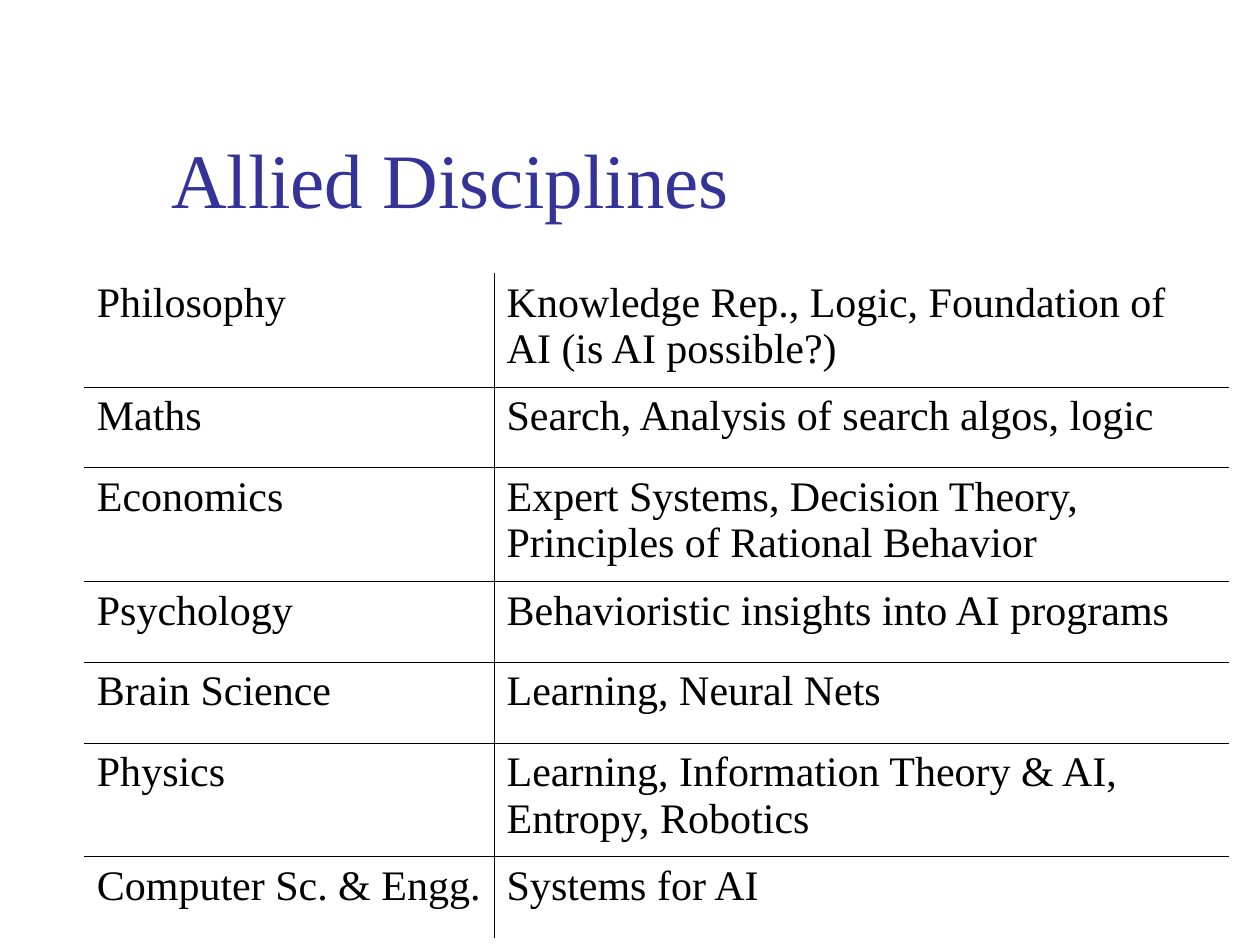
from typing import NamedTuple

from lxml.etree import SubElement
from pptx import Presentation
from pptx.dml.color import RGBColor
from pptx.enum.text import MSO_ANCHOR as Anchor
from pptx.oxml.ns import qn
from pptx.util import Cm, Pt

FONT = "Times New Roman"
BLACK = "000000"
TITLE_BLUE = "333399"
BORDER_WIDTH = Pt(0.45)
COLUMN_WIDTHS = (Cm(8.26), Cm(14.81))
SHORT_ROW, TALL_ROW = Cm(1.63), Cm(2.29)


class Discipline(NamedTuple):
    name: str
    topics: str
    height: int = SHORT_ROW


DISCIPLINES = [
    Discipline("Philosophy", "Knowledge Rep., Logic, Foundation of AI (is AI possible?)", TALL_ROW),
    Discipline("Maths", "Search, Analysis of search algos, logic"),
    Discipline("Economics", "Expert Systems, Decision Theory, Principles of Rational Behavior", TALL_ROW),
    Discipline("Psychology", "Behavioristic insights into AI programs"),
    Discipline("Brain Science", "Learning, Neural Nets"),
    Discipline("Physics", "Learning, Information Theory & AI, Entropy, Robotics", TALL_ROW),
    Discipline("Computer Sc. & Engg.", "Systems for AI"),
]


def color(value: str) -> RGBColor:
    return RGBColor.from_string(value)


def write(text_frame, text: str, size: int, text_color: str) -> None:
    paragraph = text_frame.paragraphs[0]
    paragraph.text = text
    paragraph.font.name = FONT
    paragraph.font.size = Pt(size)
    paragraph.font.color.rgb = color(text_color)


def set_border(cell, side: str, visible: bool) -> None:
    properties = cell._tc.get_or_add_tcPr()
    line = SubElement(properties, qn(f"a:ln{side}"), w=str(int(BORDER_WIDTH)))
    if visible:
        fill = SubElement(line, qn("a:solidFill"))
        SubElement(fill, qn("a:srgbClr"), val=BLACK)
    else:
        SubElement(line, qn("a:noFill"))


def add_title(slide, text: str) -> None:
    box = slide.shapes.add_textbox(Cm(3.2), Cm(0.58), Cm(21.64), Cm(4.06))
    box.text_frame.word_wrap = True
    box.text_frame.vertical_anchor = Anchor.BOTTOM
    write(box.text_frame, text, 44, TITLE_BLUE)


def add_disciplines(slide, disciplines: list[Discipline]) -> None:
    last_row, last_column = len(disciplines) - 1, len(COLUMN_WIDTHS) - 1
    frame = slide.shapes.add_table(
        len(disciplines), len(COLUMN_WIDTHS), Cm(1.7), Cm(5.51),
        sum(COLUMN_WIDTHS), sum(item.height for item in disciplines))
    table = frame.table
    table.first_row = table.horz_banding = False
    for column, width in zip(table.columns, COLUMN_WIDTHS):
        column.width = width

    for row, item in enumerate(disciplines):
        table.rows[row].height = item.height
        for column, text in enumerate((item.name, item.topics)):
            cell = table.cell(row, column)
            write(cell.text_frame, text, 24, BLACK)
            # Only the inner grid lines show
            set_border(cell, "L", column > 0)
            set_border(cell, "R", column < last_column)
            set_border(cell, "T", row > 0)
            set_border(cell, "B", row < last_row)
            cell.fill.background()


def main() -> None:
    presentation = Presentation()
    presentation.slide_width, presentation.slide_height = Cm(25.4), Cm(19.05)
    slide = presentation.slides.add_slide(presentation.slide_layouts[6])
    add_title(slide, "Allied Disciplines")
    add_disciplines(slide, DISCIPLINES)
    presentation.save("out.pptx")


if __name__ == "__main__":
    main()
